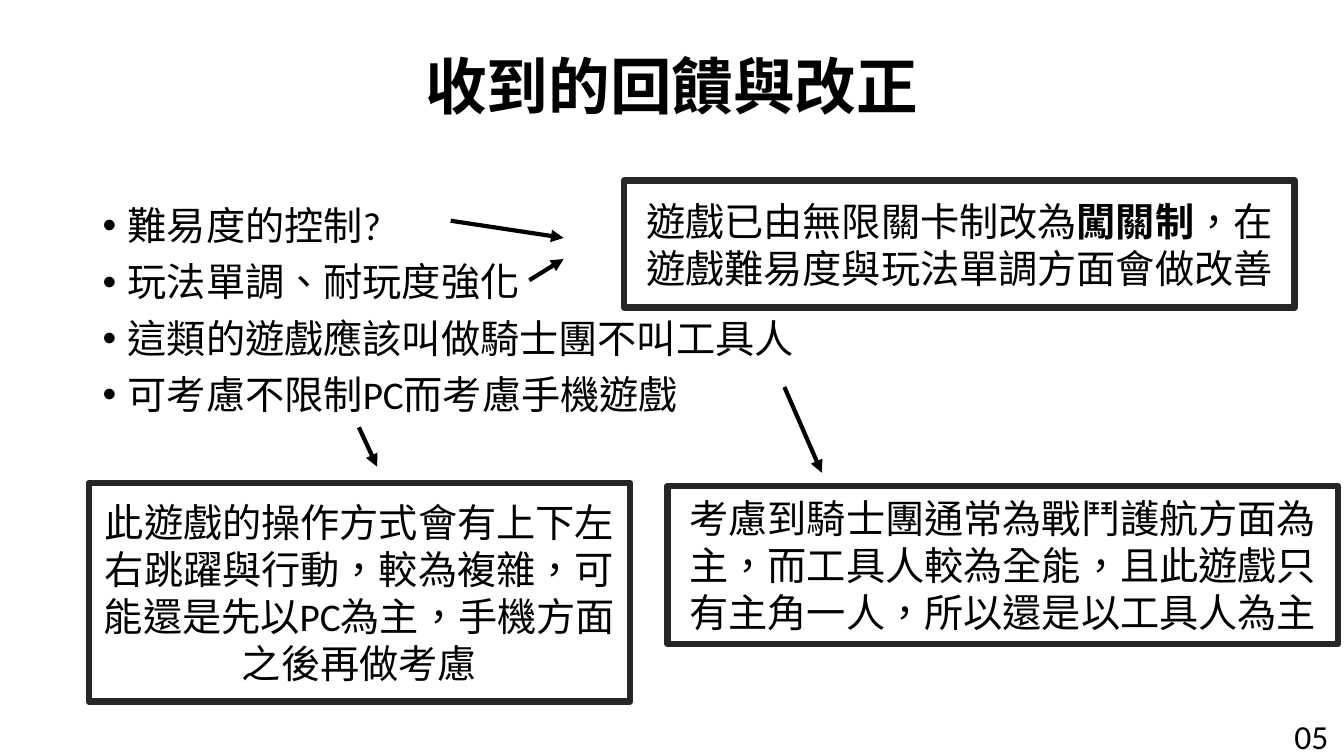
from typing import NamedTuple

from pptx import Presentation
from pptx.dml.color import RGBColor
from pptx.enum.lang import MSO_LANGUAGE_ID
from pptx.enum.shapes import MSO_CONNECTOR, MSO_SHAPE
from pptx.enum.text import MSO_ANCHOR, PP_ALIGN
from pptx.oxml.ns import qn
from pptx.util import Inches, Pt
from lxml import etree

RECT = MSO_SHAPE.RECTANGLE
STRAIGHT = MSO_CONNECTOR.STRAIGHT
LEFT, CENTER = PP_ALIGN.LEFT, PP_ALIGN.CENTER
TOP, MIDDLE = MSO_ANCHOR.TOP, MSO_ANCHOR.MIDDLE
CHINESE = MSO_LANGUAGE_ID.TRADITIONAL_CHINESE

COLORS = {"text": "000000", "arrow": "000000", "border": "262626"}
BODY_FONT = "Calibri"
TITLE_FONT = "Noto Sans CJK JP"


class Reply(NamedTuple):
    left: float
    top: float
    width: float
    height: float
    runs: tuple[tuple[str, bool], ...]  # text, bold


class Arrow(NamedTuple):
    x1: float
    y1: float
    x2: float
    y2: float


FEEDBACK = (
    "難易度的控制?",
    "玩法單調、耐玩度強化",
    "這類的遊戲應該叫做騎士團不叫工具人",
    "可考慮不限制PC而考慮手機遊戲",
)

REPLIES = (
    Reply(6.19, 1.79, 6.65, 1.26, (
        ("遊戲已由無限關卡制改為", False),
        ("闖關制", True),
        ("，在遊戲難易度與玩法單調方面會做改善", False),
    )),
    Reply(6.62, 4.82, 6.65, 1.57, (
        ("考慮到騎士團通常為戰鬥護航方面為主，而工具人較為全能，"
         "且此遊戲只有主角一人，所以還是以工具人為主", False),
    )),
    Reply(0.88, 4.79, 5.37, 2.17, (
        ("此遊戲的操作方式會有上下左右跳躍與行動，較為複雜，"
         "可能還是先以PC為主，手機方面之後再做考慮", False),
    )),
)

ARROWS = (
    Arrow(4.47, 2.19, 5.59, 2.36),
    Arrow(5.25, 2.78, 5.59, 2.57),
    Arrow(7.78, 3.84, 8.15, 4.69),
    Arrow(3.56, 4.24, 3.74, 4.63),
)


def rgb(name: str) -> RGBColor:
    return RGBColor.from_string(COLORS[name])


def add_run(p, text: str, *, size: float = 28, font: str = BODY_FONT,
            bold: bool = False) -> None:
    r = p.add_run()
    r.text = text
    r.font.size = Pt(size)
    r.font.name = font
    r.font.bold = bold
    r.font.color.rgb = rgb("text")
    r.font.language_id = CHINESE


def add_textbox(s, left: float, top: float, width: float, height: float, *,
                anchor=TOP, wrap: bool = True):
    sp = s.shapes.add_textbox(Inches(left), Inches(top), Inches(width), Inches(height))
    tf = sp.text_frame
    tf.word_wrap = wrap
    tf.vertical_anchor = anchor
    return tf


def add_bullet(p) -> None:
    pPr = p._p.get_or_add_pPr()
    pPr.set("marL", str(Inches(0.25)))
    pPr.set("indent", str(-Inches(0.25)))
    etree.SubElement(pPr, qn("a:buFont")).set("typeface", "Arial")
    etree.SubElement(pPr, qn("a:buChar")).set("char", "•")


def add_reply(s, reply: Reply) -> None:
    sp = s.shapes.add_shape(RECT, Inches(reply.left), Inches(reply.top),
                            Inches(reply.width), Inches(reply.height))
    sp.shadow.inherit = False
    sp.fill.background()
    sp.line.color.rgb = rgb("border")
    sp.line.width = Pt(4.5)
    tf = sp.text_frame
    tf.word_wrap = True
    tf.vertical_anchor = MIDDLE
    p = tf.paragraphs[0]
    p.alignment = CENTER
    for text, bold in reply.runs:
        add_run(p, text, bold=bold)


def add_arrow(s, arrow: Arrow) -> None:
    line = s.shapes.add_connector(STRAIGHT, Inches(arrow.x1), Inches(arrow.y1),
                                  Inches(arrow.x2), Inches(arrow.y2))
    line.line.color.rgb = rgb("arrow")
    line.line.width = Pt(3)
    spPr = line._element.spPr
    etree.SubElement(spPr.find(qn("a:ln")), qn("a:tailEnd")).set("type", "triangle")
    etree.SubElement(spPr, qn("a:effectLst"))


def main() -> None:
    prs = Presentation()
    prs.slide_width, prs.slide_height = Inches(13.33), Inches(7.5)
    s = prs.slides.add_slide(prs.slide_layouts[6])

    # Title
    p = add_textbox(s, 0, 0.33, 13.33, 1.12, anchor=MIDDLE).paragraphs[0]
    p.alignment = CENTER
    p.line_spacing = 0.9
    add_run(p, "收到的回饋與改正", size=44, font=TITLE_FONT, bold=True)

    # Page number
    p = add_textbox(s, 12.74, 7.05, 0.54, 0.5, wrap=False).paragraphs[0]
    p.alignment = LEFT
    add_run(p, "05", size=24)

    # Feedback list
    tf = add_textbox(s, 0.92, 2, 11.5, 4.76)
    for i, text in enumerate(FEEDBACK):
        p = tf.add_paragraph() if i else tf.paragraphs[0]
        p.line_spacing = 0.9
        p.space_before = Pt(10)
        add_bullet(p)
        add_run(p, text)

    # Replies and the arrows leading to them
    for reply in REPLIES:
        add_reply(s, reply)
    for arrow in ARROWS:
        add_arrow(s, arrow)

    prs.save("out.pptx")


if __name__ == "__main__":
    main()
